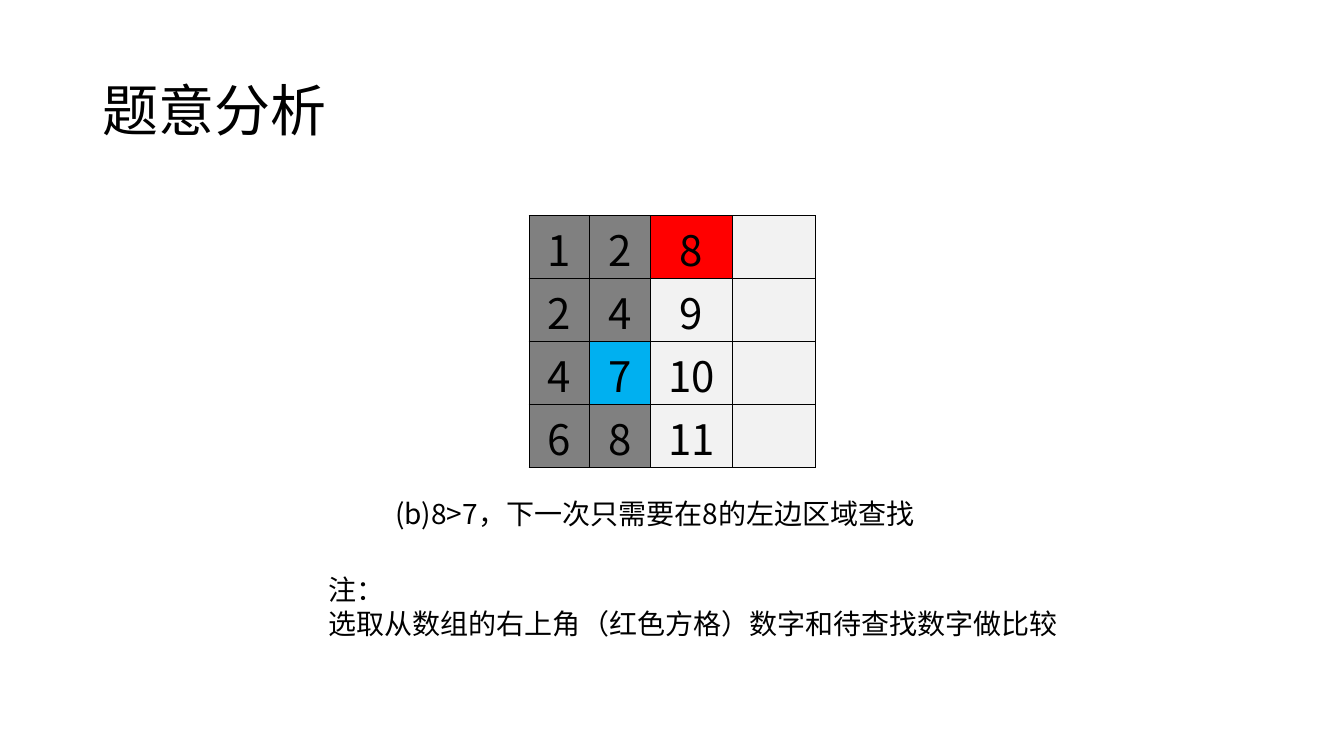
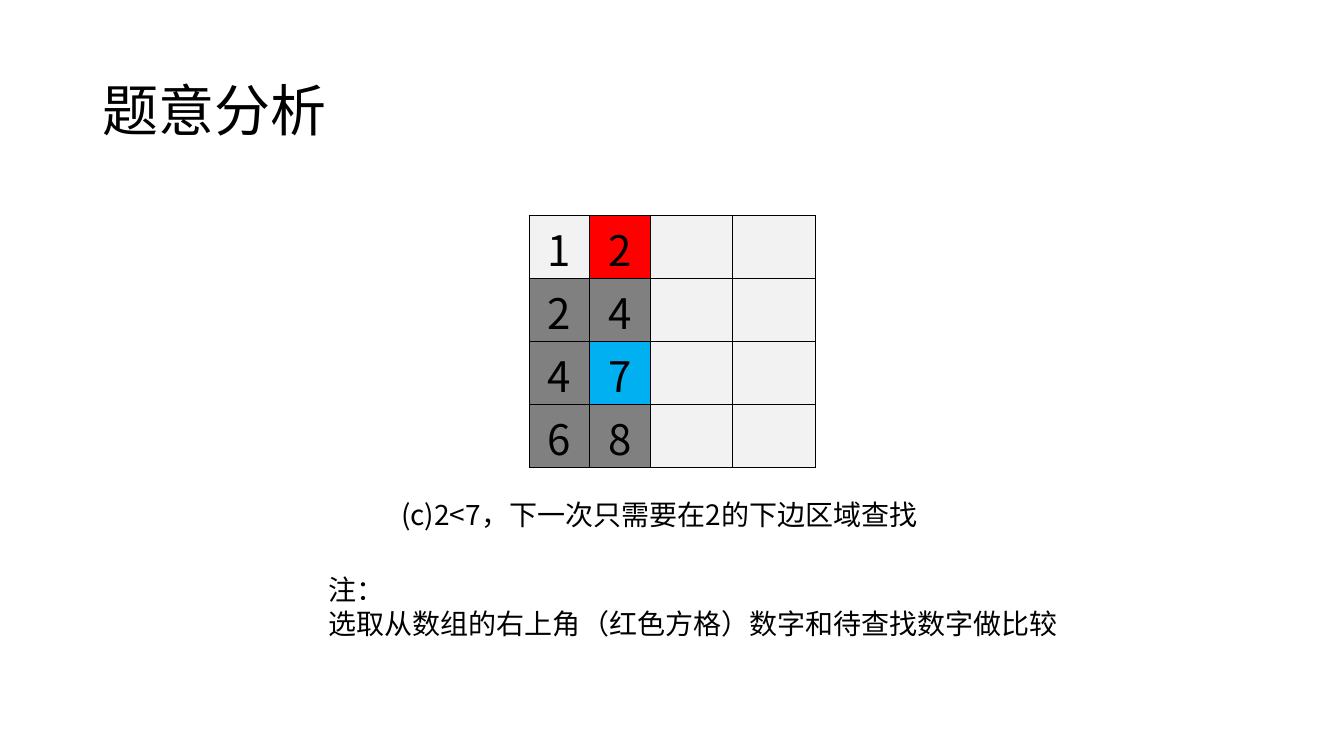
from dataclasses import dataclass

from lxml.etree import SubElement as Sub
from pptx import Presentation
from pptx.dml.color import RGBColor as Rgb
from pptx.enum.lang import MSO_LANGUAGE_ID as Lang
from pptx.enum.text import MSO_ANCHOR as Anchor, MSO_AUTO_SIZE as Fit, PP_ALIGN as Align
from pptx.oxml.ns import qn
from pptx.slide import Slide
from pptx.util import Inches, Pt

# Shared look
WIDTH, HEIGHT = Inches(13.33), Inches(7.5)
FACE = "Noto Sans CJK SC"
HUES = {"ink": "000000", "dark": "808080", "pale": "F2F2F2",
        "red": "FF0000", "blue": "00B0F0"}
MARKS = {"d": "dark", "p": "pale", "r": "red", "b": "blue"}
TITLE = "题意分析"
NOTE = ("注：", "选取从数组的右上角（红色方格）数字和待查找数字做比较")


@dataclass(frozen=True)
class Box:
    """Percent shares of the slide's width and height."""
    x: float
    y: float
    w: float
    h: float

    def place(self) -> dict[str, int]:
        return {"left": int(WIDTH * self.x / 100), "top": int(HEIGHT * self.y / 100),
                "width": int(WIDTH * self.w / 100), "height": int(HEIGHT * self.h / 100)}


@dataclass(frozen=True)
class Step:
    text: str
    box: Box
    nums: tuple[str, ...]   # one string per table row
    marks: tuple[str, ...]  # one letter per cell


HEAD = Box(6.9, 5.33, 86.27, 19.33)
NOTE_BOX = Box(23.71, 75.07, 58.36, 10.27)
COLS, ROW = (4.5, 4.5, 6.15, 6.15), 8.13
GRID = Box(39.38, 28.53, sum(COLS), 4 * ROW)

STEPS = (
    Step("(b)8>7，下一次只需要在8的左边区域查找", Box(28.66, 65.07, 42.61, 5.87),
         ("1 2 8", "2 4 9", "4 7 10", "6 8 11"), ("ddrp", "ddpp", "dbpp", "ddpp")),
    Step("(c)2<7，下一次只需要在2的下边区域查找", Box(29.11, 65.2, 41.86, 5.87),
         ("1 2", "2 4", "4 7", "6 8"), ("prpp", "ddpp", "dbpp", "ddpp")),
)


def assign(item: object, form: dict) -> None:
    for key, value in form.items():
        setattr(item, key, value)


def write(frame, lines: tuple[str, ...], size: int, form: dict) -> None:
    """Fill a text frame with one paragraph per line."""
    frame.text = "\n".join(lines)
    for para in frame.paragraphs:
        assign(para, form)
        for run in para.runs:
            assign(run.font, {"name": FACE, "size": Pt(size),
                              "language_id": Lang.SIMPLIFIED_CHINESE})
            run.font.color.rgb = Rgb.from_string(HUES["ink"])
            Sub(run.font._element, qn("a:ea"), typeface=FACE)


def add_head(slide: Slide) -> None:
    head = slide.shapes.title
    assign(head, HEAD.place())
    write(head.text_frame, (TITLE,), 40, {"alignment": Align.LEFT, "line_spacing": 0.9})
    assign(head.text_frame, {"vertical_anchor": Anchor.MIDDLE, "word_wrap": True})


def add_text(slide: Slide, box: Box, lines: tuple[str, ...], wrap: bool) -> None:
    frame = slide.shapes.add_textbox(**box.place()).text_frame
    write(frame, lines, 20, {"alignment": Align.LEFT})
    assign(frame, {"word_wrap": wrap, "auto_size": Fit.SHAPE_TO_FIT_TEXT})


def add_edges(cell) -> None:
    props = cell._tc.get_or_add_tcPr()
    for side in ("lnL", "lnR", "lnT", "lnB"):
        line = Sub(props, qn(f"a:{side}"), w=str(Pt(1)))
        Sub(Sub(line, qn("a:solidFill")), qn("a:srgbClr"), val=HUES["ink"])


def add_grid(slide: Slide, step: Step) -> None:
    table = slide.shapes.add_table(len(step.nums), len(COLS), **GRID.place()).table
    assign(table, {"first_row": False, "horz_banding": False})
    for col, share in zip(table.columns, COLS):
        col.width = int(WIDTH * share / 100)
    for row, nums, marks in zip(table.rows, step.nums, step.marks):
        row.height = int(HEIGHT * ROW / 100)
        texts = nums.split()
        for i, (cell, mark) in enumerate(zip(row.cells, marks)):
            add_edges(cell)
            cell.fill.solid()
            cell.fill.fore_color.rgb = Rgb.from_string(HUES[MARKS[mark]])
            if i < len(texts):
                gap = Inches(0.02)
                assign(cell, {"margin_left": gap, "margin_right": gap, "margin_top": gap,
                              "margin_bottom": 0, "vertical_anchor": Anchor.BOTTOM})
                write(cell.text_frame, (texts[i],), 30, {"alignment": Align.CENTER})


def main() -> None:
    deck = Presentation()
    assign(deck, {"slide_width": WIDTH, "slide_height": HEIGHT})
    for step in STEPS:
        slide = deck.slides.add_slide(deck.slide_layouts[5])
        add_head(slide)
        add_grid(slide, step)
        add_text(slide, step.box, (step.text,), True)
        add_text(slide, NOTE_BOX, NOTE, False)
    deck.save("out.pptx")


if __name__ == "__main__":
    main()
